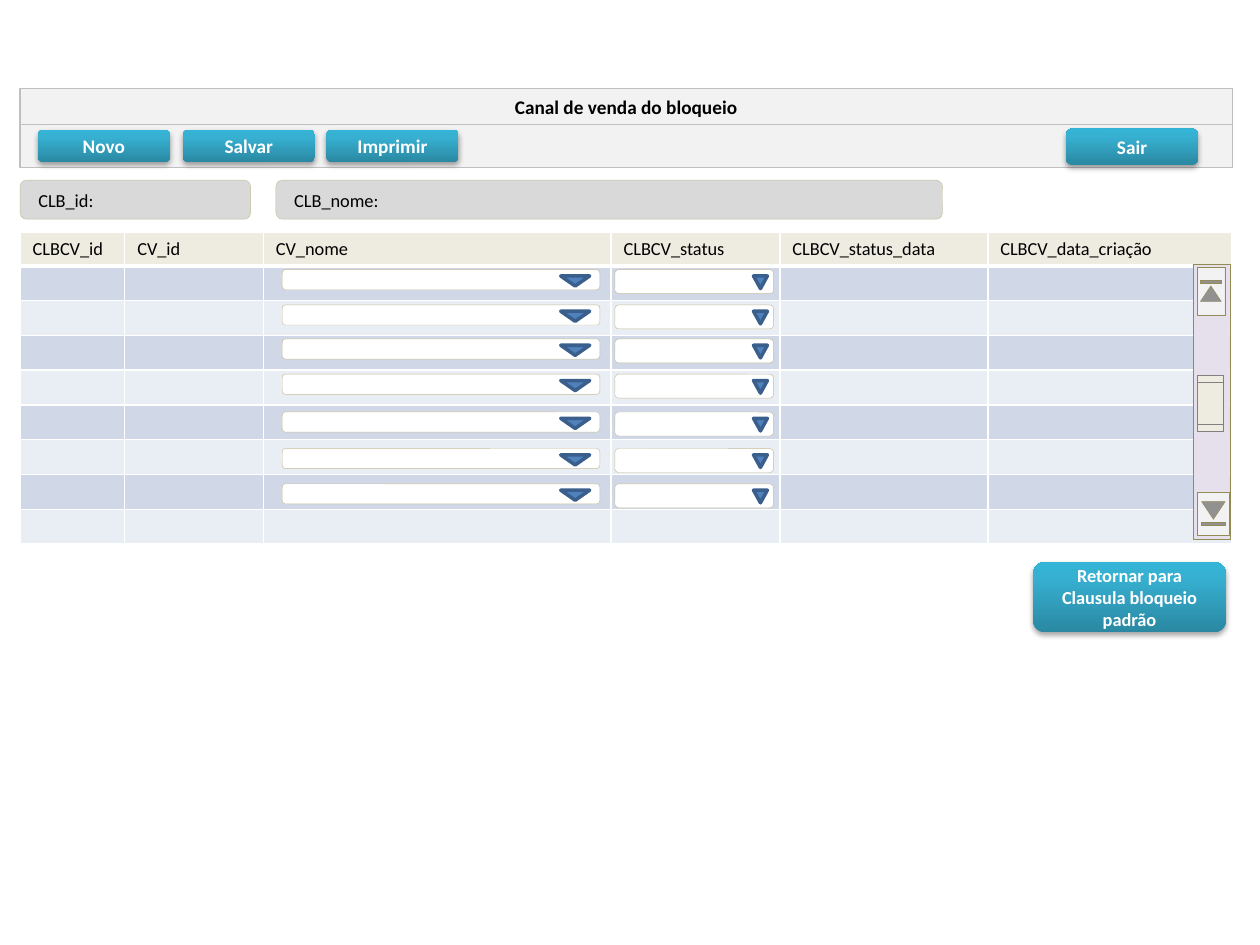
from typing import NamedTuple

from lxml.etree import SubElement
from pptx import Presentation
from pptx.dml.color import RGBColor
from pptx.enum.shapes import MSO_SHAPE as Kind
from pptx.enum.text import MSO_ANCHOR as Anchor, PP_ALIGN as Align
from pptx.oxml import parse_xml
from pptx.oxml.ns import nsdecls, qn
from pptx.util import Inches, Pt

FONT = "Calibri"
COLORS = {
    "panel": "F2F2F2", "panel_line": "BFBFBF", "field": "D9D9D9",
    "khaki": "C4BD97", "olive": "948A54", "cream": "EEECE1",
    "lavender": "E6E0EC", "gray": "808080", "band": "D0D8E8",
    "light": "E9EDF4", "arrow": "4F81BD", "arrow_line": "3A5F8C",
    "white": "FFFFFF", "black": "000000",
    "teal_dark": "2A88A2", "teal": "37B1D2", "teal_light": "34B4D6",
}


class Box(NamedTuple):
    left: float
    top: float
    width: float
    height: float


class Button(NamedTuple):
    text: str
    box: Box
    size: float = 11


class Field(NamedTuple):
    text: str
    box: Box


class Part(NamedTuple):
    kind: Kind
    box: Box
    rotation: int
    fill: str
    line: str


class Dropdown(NamedTuple):
    left: float
    width: float
    height: float
    arrow: Box


BUTTONS = [
    Button("Novo", Box(0.3, 1.03, 1.05, 0.26)),
    Button("Salvar", Box(1.45, 1.03, 1.05, 0.26)),
    Button("Imprimir", Box(2.59, 1.03, 1.05, 0.26)),
    Button("Sair", Box(8.46, 1.02, 1.05, 0.29)),
    Button("Retornar para\nClausula bloqueio padrão", Box(8.2, 4.46, 1.53, 0.56), 10.5),
]
FIELDS = [
    Field("CLB_id:", Box(0.16, 1.43, 1.83, 0.31)),
    Field("CLB_nome:", Box(2.19, 1.43, 5.29, 0.31)),
]
SCROLLBAR = [
    Part(Kind.RECTANGLE, Box(9.47, 2.1, 0.29, 2.18), 0, "lavender", "olive"),
    Part(Kind.ACTION_BUTTON_END, Box(9.42, 2.2, 0.38, 0.22), 270, "panel", "olive"),
    Part(Kind.ACTION_BUTTON_END, Box(9.46, 3.95, 0.34, 0.25), 90, "panel", "olive"),
    Part(Kind.FLOWCHART_PREDEFINED_PROCESS, Box(9.38, 3.1, 0.45, 0.2), 90, "cream", "gray"),
]
COLUMNS = {
    "CLBCV_id": 0.83, "CV_id": 1.1, "CV_nome": 2.76,
    "CLBCV_status": 1.34, "CLBCV_status_data": 1.65, "CLBCV_data_criação": 1.94,
}
BODY_ROWS = 8
TABLE_BOX = Box(0.16, 1.84, 9.62, 2.48)
HEADER_HEIGHT = 0.27
DROPDOWN_TOPS = [2.14, 2.42, 2.69, 2.97, 3.27, 3.56, 3.84]
DROPDOWNS = [
    Dropdown(2.24, 2.52, 0.16, Box(4.45, 0.05, 0.23, 0.08)),
    Dropdown(4.88, 1.26, 0.19, Box(5.98, 0.05, 0.11, 0.1)),
]


def rgb(name: str) -> RGBColor:
    return RGBColor.from_string(COLORS[name])


def inches(box: Box) -> list:
    return [Inches(v) for v in box]


def paint(shape, fill: str, line: str, width: float) -> None:
    shape.fill.solid()
    shape.fill.fore_color.rgb = rgb(fill)
    shape.line.color.rgb = rgb(line)
    shape.line.width = Pt(width)


def add_part(shapes, part: Part, width: float = 0.25):
    sp = shapes.add_shape(part.kind, *inches(part.box))
    sp.shadow.inherit = False
    sp.rotation = part.rotation
    paint(sp, part.fill, part.line, width)
    return sp


def write(tf, text: str, size: float, color: str, bold: bool, align: Align) -> None:
    tf.text = text
    tf.word_wrap = True
    tf.vertical_anchor = Anchor.MIDDLE
    for p in tf.paragraphs:
        p.alignment = align
        for r in p.runs:
            r.font.name = FONT
            r.font.size = Pt(size)
            r.font.bold = bold
            r.font.color.rgb = rgb(color)


def add_button(shapes, button: Button) -> None:
    sp = shapes.add_shape(Kind.ROUNDED_RECTANGLE, *inches(button.box))
    stops = "".join(
        f'<a:gs pos="{pos}"><a:srgbClr val="{COLORS[name]}"/></a:gs>'
        for pos, name in [(0, "teal_dark"), (80000, "teal"), (100000, "teal_light")]
    )
    props = sp._element.spPr
    props.append(parse_xml(
        f'<a:gradFill {nsdecls("a")} rotWithShape="1"><a:gsLst>{stops}</a:gsLst>'
        '<a:lin ang="16200000" scaled="0"/></a:gradFill>'))
    sp.line.fill.background()
    props.append(parse_xml(
        f'<a:effectLst {nsdecls("a")}><a:outerShdw blurRad="{Pt(3.1)}" dist="{Pt(1.8)}"'
        f' dir="5400000" rotWithShape="0"><a:srgbClr val="{COLORS["black"]}">'
        '<a:alpha val="35000"/></a:srgbClr></a:outerShdw></a:effectLst>'))
    write(sp.text_frame, button.text, button.size, "white", True, Align.CENTER)


def add_field(shapes, field: Field) -> None:
    sp = add_part(shapes, Part(Kind.ROUNDED_RECTANGLE, field.box, 0, "field", "khaki"))
    write(sp.text_frame, field.text, 10.5, "black", False, Align.LEFT)
    sp.text_frame.margin_left = Inches(0.13)


def add_dropdown(shapes, dropdown: Dropdown, top: float) -> None:
    group = shapes.add_group_shape().shapes
    box = Box(dropdown.left, top, dropdown.width, dropdown.height)
    arrow = dropdown.arrow._replace(top=top + dropdown.arrow.top)
    add_part(group, Part(Kind.ROUNDED_RECTANGLE, box, 0, "white", "khaki"))
    add_part(group, Part(Kind.FLOWCHART_EXTRACT, arrow, 180, "arrow", "arrow_line"), 2)


def format_cell(cell, fill: str, bottom: float) -> None:
    cell.margin_top = cell.margin_bottom = Inches(0.03)
    tc_pr = cell._tc.get_or_add_tcPr()
    for side, width in [("L", 1), ("R", 1), ("T", 1), ("B", bottom)]:
        tc_pr.append(parse_xml(
            f'<a:ln{side} {nsdecls("a")} w="{Pt(width)}"><a:solidFill>'
            f'<a:srgbClr val="{COLORS["white"]}"/></a:solidFill></a:ln{side}>'))
    cell.fill.solid()
    cell.fill.fore_color.rgb = rgb(fill)


def add_grid(shapes) -> None:
    table = shapes.add_table(BODY_ROWS + 1, len(COLUMNS), *inches(TABLE_BOX)).table
    table.first_row = table.horz_banding = False
    for column, width in zip(table.columns, COLUMNS.values()):
        column.width = Inches(width)
    body_height = (TABLE_BOX.height - HEADER_HEIGHT) / BODY_ROWS
    for i, row in enumerate(table.rows):
        row.height = Inches(body_height if i else HEADER_HEIGHT)
        fill = ("band" if i % 2 else "light") if i else "cream"
        for name, cell in zip(COLUMNS, row.cells):
            format_cell(cell, fill, 1 if i else 3)
            if i:
                p = cell.text_frame.paragraphs[0]
                SubElement(p._p, qn("a:endParaRPr"), sz="1050")
            else:
                write(cell.text_frame, name, 10.5, "black", False, Align.LEFT)
                cell.vertical_anchor = Anchor.MIDDLE


prs = Presentation()
prs.slide_width, prs.slide_height = Inches(10), Inches(7.5)
s = prs.slides.add_slide(prs.slide_layouts[5])
title = s.shapes.title
title.left, title.top, title.width, title.height = inches(Box(0.16, 0.7, 9.62, 0.29))
paint(title, "panel", "panel_line", 0.75)
write(title.text_frame, "Canal de venda do bloqueio", 11, "black", True, Align.CENTER)
add_part(s.shapes, Part(Kind.RECTANGLE, Box(0.16, 0.99, 9.62, 0.34), 0, "panel", "panel_line"), 0.75)
add_grid(s.shapes)
for button in BUTTONS:
    add_button(s.shapes, button)
for field in FIELDS:
    add_field(s.shapes, field)
scrollbar = s.shapes.add_group_shape().shapes
for part in SCROLLBAR:
    add_part(scrollbar, part)
for dropdown in DROPDOWNS:
    for top in DROPDOWN_TOPS:
        add_dropdown(s.shapes, dropdown, top)
prs.save("out.pptx")
